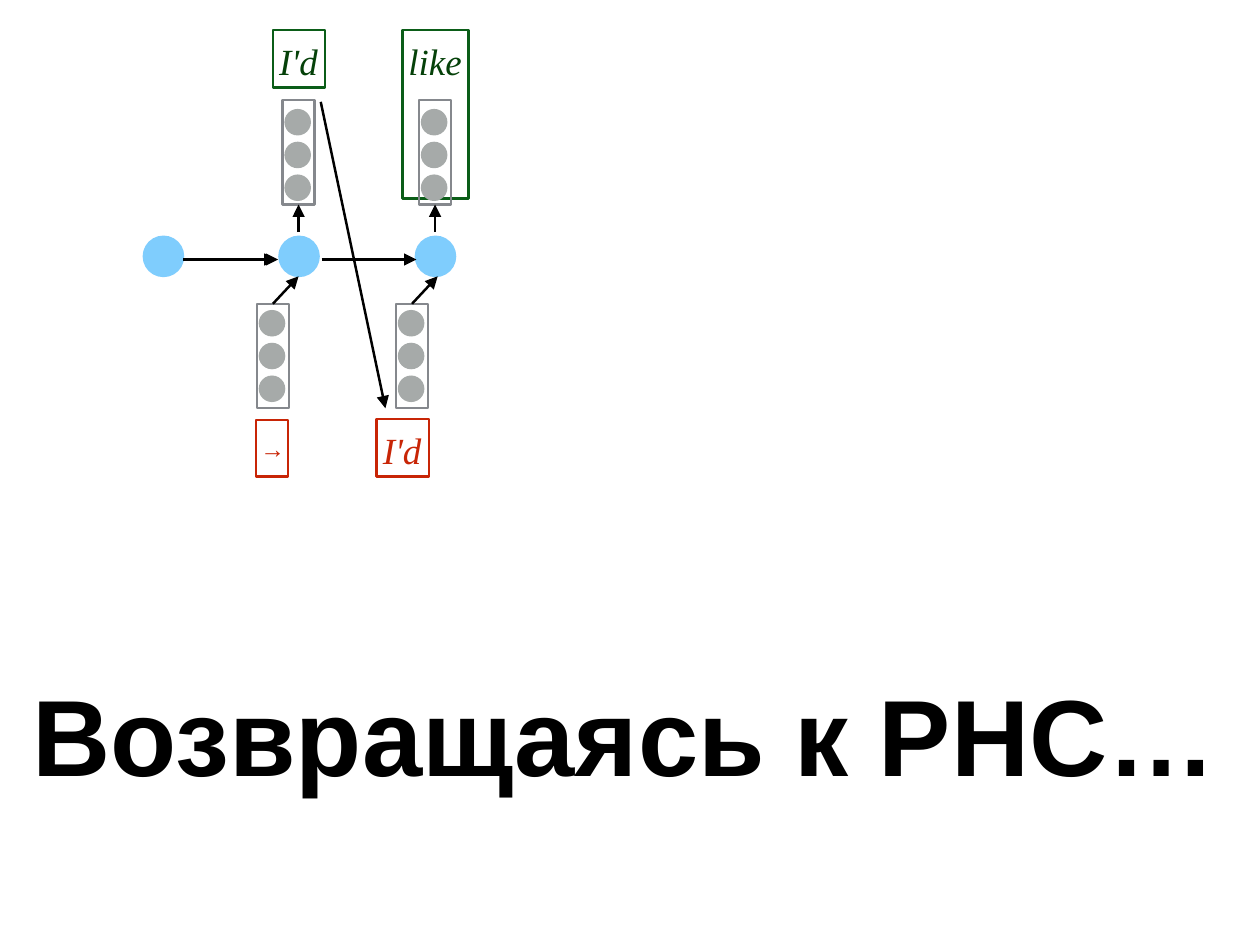
from lxml import etree
from pptx import Presentation, util as u
from pptx.dml.color import RGBColor
from pptx.enum import shapes, text
from pptx.oxml.ns import qn

presentation = Presentation()
presentation.slide_width = u.Inches(14.22)
presentation.slide_height = u.Inches(10.67)
slide = presentation.slides.add_slide(presentation.slide_layouts[6])


def add_shape(kind, box, fill=None, line=None):
    shape = slide.shapes.add_shape(kind, *[u.Inches(value) for value in box])
    shape.shadow.inherit = False
    if fill:
        shape.fill.solid()
        shape.fill.fore_color.rgb = RGBColor.from_string(fill)
    else:
        shape.fill.background()
    if line:
        shape.line.color.rgb = RGBColor.from_string(line)
        shape.line.width = u.Pt(2)
    else:
        shape.line.fill.background()
    return shape


def write(shape, left, top, words, font, size, color, bold=False, italic=False):
    frame = shape.text_frame
    frame.word_wrap = False
    frame.vertical_anchor = text.MSO_ANCHOR.TOP
    frame.margin_left, frame.margin_top = u.Inches(left), u.Inches(top)
    frame.margin_right = frame.margin_bottom = 0
    paragraph = frame.paragraphs[0]
    paragraph.alignment = text.PP_ALIGN.LEFT
    run = paragraph.add_run()
    run.text = words
    run.font.name = font
    run.font.size = u.Pt(size)
    run.font.bold = bold
    run.font.italic = italic
    run.font.color.rgb = RGBColor.from_string(color)


RECTANGLE = shapes.MSO_SHAPE.RECTANGLE
OVAL = shapes.MSO_SHAPE.OVAL

words = [
    ((3.08, 0.34, 0.59, 0.65), "I'd", "0B5D18", "054109"),
    ((4.54, 0.34, 0.75, 1.9), "like", "0B5D18", "054109"),
    ((4.25, 4.73, 0.59, 0.65), "I'd", "C82506", "C82506"),
]
for box, word, line, color in words:
    word_box = add_shape(RECTANGLE, box, line=line)
    write(word_box, 0.07, 0.1, word, "Times New Roman", 30, color, italic=True)

start_box = add_shape(RECTANGLE, (2.89, 4.74, 0.36, 0.64), line="C82506")
write(start_box, 0.05, 0.19, "→", "Arial Narrow", 20, "C82506", bold=True)

vectors = []
for left, top, padding in [(3.19, 1.13, 0.1), (4.73, 1.13, 0.1), (2.9, 3.43, 0.07), (4.47, 3.43, 0.07)]:
    vectors.append(add_shape(RECTANGLE, (left, top, 0.36, 1.18), line="85888D"))
    for index in range(3):
        add_shape(OVAL, (left + 0.02, top + padding + index * 0.37, 0.3, 0.3), "A6AAA9")
first_output, second_output, first_input, second_input = vectors

for left in (1.61, 3.14, 4.68):
    state = add_shape(OVAL, (left, 2.66, 0.47, 0.47), "009CFD")
    color_element = state._element.spPr.find(".//" + qn("a:srgbClr"))
    etree.SubElement(color_element, qn("a:alpha"), val="50000")

arrows = [
    ((2.44, 2.93, 3.12, 2.93), None, None),
    ((2.07, 2.93, 3.14, 2.93), None, None),
    ((3.63, 2.93, 4.7, 2.93), None, None),
    ((3.62, 1.15, 4.35, 4.61), None, None),
    ((3.37, 2.62, 3.37, 2.31), None, first_output),
    ((4.91, 2.62, 4.91, 2.31), None, second_output),
    ((3.08, 3.43, 3.37, 3.12), first_input, None),
    ((4.65, 3.43, 4.94, 3.12), second_input, None),
]
for ends, source, target in arrows:
    arrow = slide.shapes.add_connector(
        shapes.MSO_CONNECTOR.STRAIGHT, *[u.Inches(value) for value in ends])
    if source:
        arrow.begin_connect(source, 0)
    if target:
        arrow.end_connect(target, 2)
    arrow.line.color.rgb = RGBColor.from_string("000000")
    arrow.line.width = u.Pt(2)
    etree.SubElement(arrow.line._get_or_add_ln(), qn("a:tailEnd"), type="triangle", w="lg", len="lg")
    etree.SubElement(arrow._element.spPr, qn("a:effectLst"))

title = slide.shapes.add_textbox(u.Inches(0.36), u.Inches(7.42), u.Inches(13.5), u.Inches(1.5))
write(title, 0.01, 0.13, "Возвращаясь к РНС…", "Arial", 88, "000000", bold=True)

presentation.save("out.pptx")
